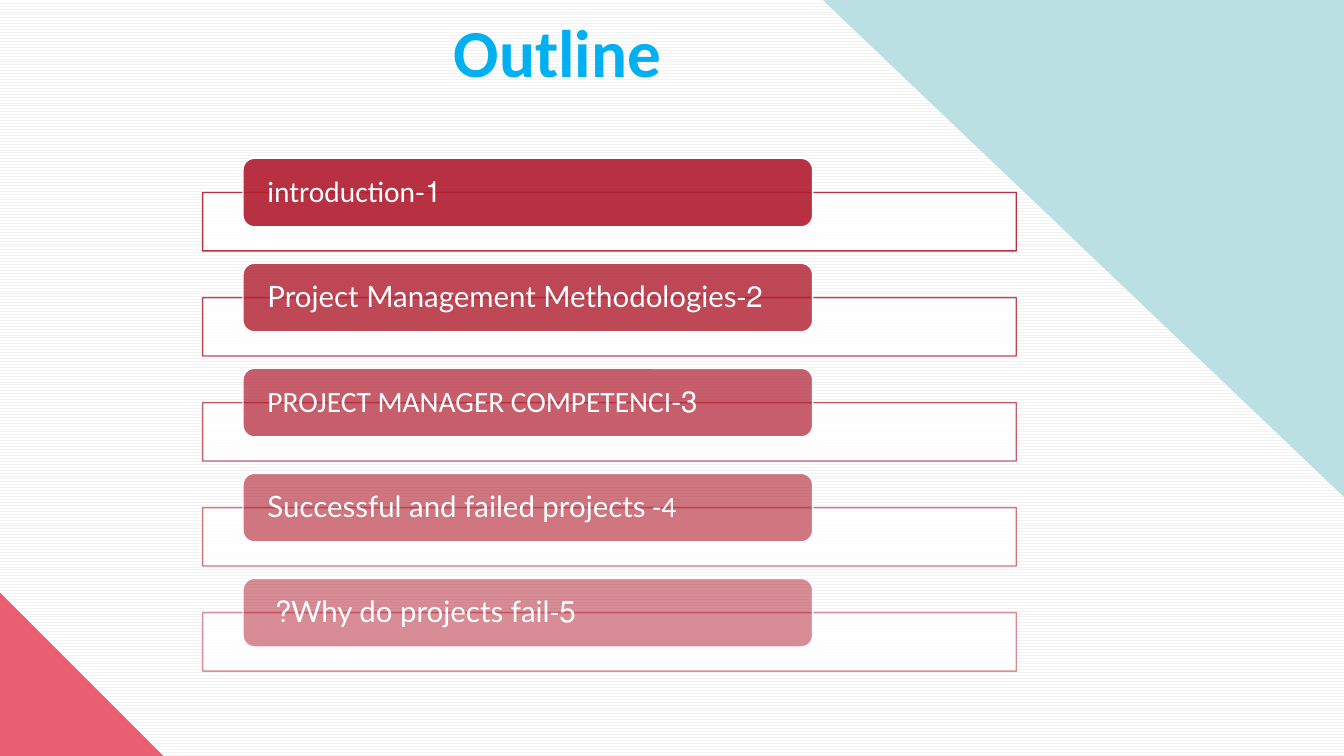
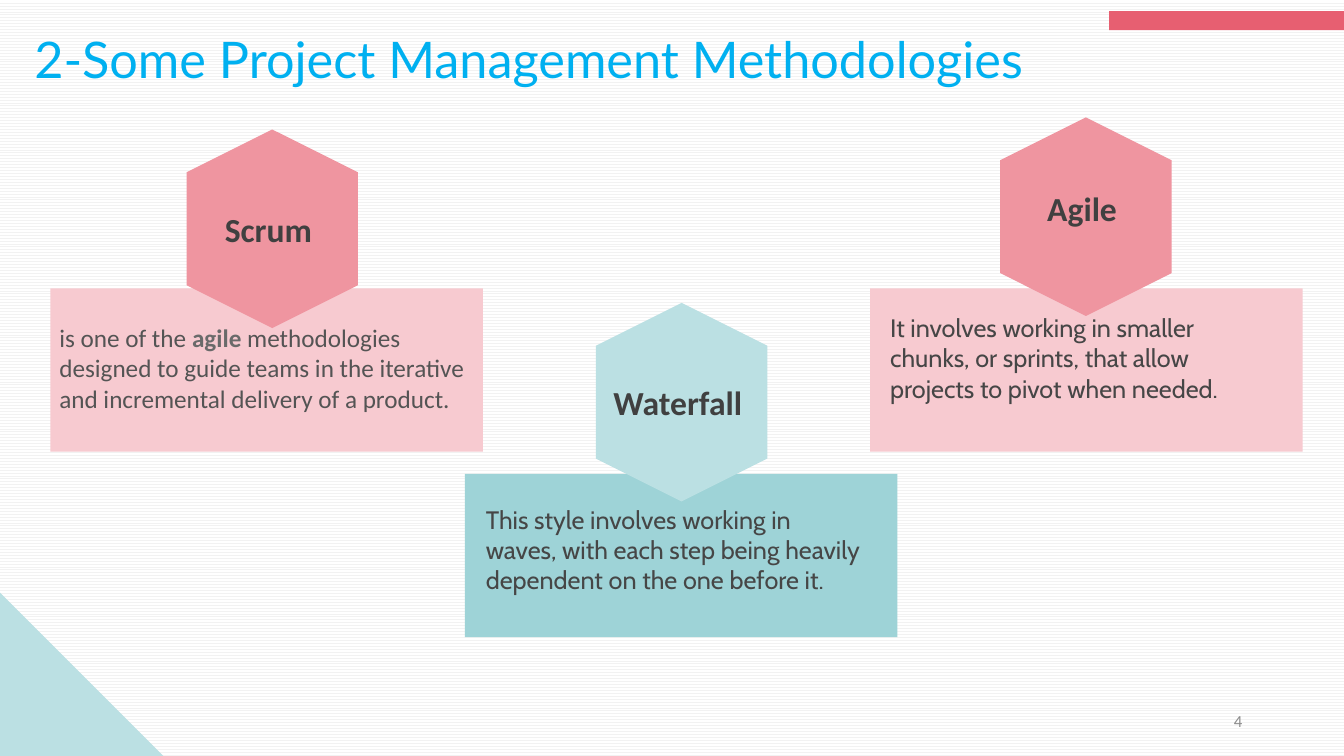
from dataclasses import dataclass

from lxml.etree import SubElement
from pptx import Presentation
from pptx.dml.color import RGBColor
from pptx.enum.dml import MSO_PATTERN
from pptx.enum.shapes import MSO_SHAPE as Shape
from pptx.enum.text import MSO_ANCHOR as Anchor, MSO_AUTO_SIZE as AutoSize, PP_ALIGN as Align
from pptx.oxml.ns import qn
from pptx.util import Inches, Pt


@dataclass(frozen=True)
class Theme:
    white: str = "FFFFFF"
    pattern: str = "F2F2F2"
    title: str = "00B0F0"
    crimson: str = "B01B2E"
    coral: str = "E75F71"
    rose: str = "EF95A0"
    blush: str = "F7CAD0"
    aqua: str = "BBE0E3"
    teal: str = "9ED3D7"
    label: str = "404040"
    body: str = "464646"
    soft: str = "545454"
    strong: str = "6A6A6A"
    number: str = "8C8C8C"
    sans: str = "Calibri"
    display: str = "Lato"
    humanist: str = "Cabin"
    heading_size: int = 48
    title_size: int = 36
    label_size: int = 24
    item_size: int = 21
    body_size: int = 18
    number_size: int = 12


THEME = Theme()
PLAIN = {"font": THEME.sans}
DISPLAY = {"font": THEME.display}

OUTLINE = [
    [("1-introduction", PLAIN)],
    [("2-Project Management Methodologies", DISPLAY)],
    [("3-PROJECT MANAGER COMPETENCI", PLAIN)],
    [("Successful and failed projects", DISPLAY), (" -4", PLAIN)],
    [("5-", PLAIN), ("Why do projects fail? ", DISPLAY)],
]

METHODS = [
    {
        "name": "Scrum ", "panel": (0.5, 2.86), "hexagon": (2.7, 2.27), "label_y": 2.27,
        "colors": (THEME.blush, THEME.rose), "text_box": (0.49, 3.15, 4.23, 1.31),
        "font": THEME.sans, "color": THEME.soft,
        "text": [
            ("is one of the ", {}),
            ("agile", {"color": THEME.strong, "bold": True}),
            (" methodologies designed to guide teams in the iterative "
             "and incremental delivery of a product.", {}),
        ],
    },
    {
        "name": "Waterfall ", "panel": (4.61, 4.7), "hexagon": (6.76, 3.99), "label_y": 3.99,
        "colors": (THEME.teal, THEME.aqua), "text_box": (4.72, 4.95, 3.91, 1.31),
        "font": THEME.humanist, "color": THEME.body,
        "text": "This style involves working in waves, with each step being heavily "
                "dependent on the one before it.",
    },
    {
        "name": "Agile ", "panel": (8.63, 2.86), "hexagon": (10.77, 2.15), "label_y": 2.06,
        "colors": (THEME.blush, THEME.rose), "text_box": (8.73, 3.05, 3.48, 1.31),
        "font": THEME.humanist, "color": THEME.body,
        "text": "It involves working in smaller chunks, or sprints, that allow projects "
                "to pivot when needed.",
    },
]


def rgb(color):
    return RGBColor.from_string(color)


def write(shape, text, *, size, color, font=THEME.sans, bold=False, align=Align.LEFT,
          anchor=Anchor.TOP, insets=(0.1, 0.05, 0.1, 0.05), spacing=None, rtl=False):
    frame = shape.text_frame
    frame.word_wrap = True
    frame.auto_size = AutoSize.NONE
    frame.vertical_anchor = anchor
    (frame.margin_left, frame.margin_top,
     frame.margin_right, frame.margin_bottom) = map(Inches, insets)
    paragraph = frame.paragraphs[0]
    paragraph.alignment = align
    if spacing:
        paragraph.line_spacing = spacing
    if rtl:
        paragraph._p.get_or_add_pPr().set("rtl", "1")
    for content, changes in [(text, {})] if isinstance(text, str) else text:
        style = {"font": font, "color": color, "bold": bold, **changes}
        run = paragraph.add_run()
        run.text = content
        run.font.name = style["font"]
        run.font.size = Pt(size)
        run.font.bold = style["bold"]
        run.font.color.rgb = rgb(style["color"])


def set_alpha(shape, query, percent):
    for color in shape.element.spPr.xpath(query):
        SubElement(color, qn("a:alpha")).set("val", str(percent * 1000))


def add_shape(slide, kind, box, fill, *, line=None, alpha=100, line_alpha=100, rotation=0):
    shape = slide.shapes.add_shape(kind, *map(Inches, box))
    shape.shadow.inherit = False
    shape.rotation = rotation
    shape.fill.solid()
    shape.fill.fore_color.rgb = rgb(fill)
    if line:
        shape.line.color.rgb = rgb(line)
        shape.line.width = Pt(1)
    else:
        shape.line.fill.background()
    if alpha < 100:
        set_alpha(shape, "a:solidFill/a:srgbClr", alpha)
    if line_alpha < 100:
        set_alpha(shape, "a:ln/a:solidFill/a:srgbClr", line_alpha)
    return shape


def add_text(slide, box, text, **style):
    write(slide.shapes.add_textbox(*map(Inches, box)), text, **style)


def add_slide(presentation, title, box, corner, **style):
    slide = presentation.slides.add_slide(presentation.slide_layouts[5])
    background = slide.background.fill
    background.patterned()
    background.pattern = MSO_PATTERN.ZIG_ZAG
    background.fore_color.rgb = rgb(THEME.pattern)
    background.back_color.rgb = rgb(THEME.white)
    placeholder = slide.shapes.title
    placeholder.left, placeholder.top, placeholder.width, placeholder.height = map(Inches, box)
    write(placeholder, title, color=THEME.title, **style)
    add_shape(slide, Shape.RIGHT_TRIANGLE, (0, 5.88, 1.62, 1.62), corner)
    return slide


def build_outline(presentation):
    slide = add_slide(presentation, "Outline", (4.4, 0.05, 6.65, 0.91), THEME.coral,
                      size=THEME.heading_size, bold=True, anchor=Anchor.MIDDLE)
    add_shape(slide, Shape.RIGHT_TRIANGLE, (8.16, 0, 5.18, 4.94), THEME.aqua, rotation=180)
    for index, item in enumerate(OUTLINE):
        top = 1.57 + 1.042 * index
        opacity = 90 - 10 * index
        add_shape(slide, Shape.RECTANGLE, (2.01, top + 0.34, 8.07, 0.58), THEME.white,
                  line=THEME.crimson, alpha=90, line_alpha=opacity)
        bar = add_shape(slide, Shape.ROUNDED_RECTANGLE, (2.41, top, 5.65, 0.68),
                        THEME.crimson, line=THEME.white, alpha=opacity)
        write(bar, item, size=THEME.item_size, color=THEME.white, anchor=Anchor.MIDDLE,
              insets=(0.21, 0, 0.21, 0), spacing=0.9, rtl=True)


def build_methods(presentation):
    slide = add_slide(presentation, "2-Some Project Management Methodologies",
                      (0.34, 0.28, 12.7, 0.61), THEME.aqua, size=THEME.title_size,
                      font=THEME.display, insets=(0, 0, 0, 0))
    add_shape(slide, Shape.RECTANGLE, (11, 0.11, 2.33, 0.19), THEME.coral)
    add_text(slide, (9.42, 6.95, 3, 0.4), "4", size=THEME.number_size, color=THEME.number,
             align=Align.RIGHT, anchor=Anchor.MIDDLE)
    length, width = 1.97, 1.7
    label_width, label_height = 1.51, 0.4
    for method in METHODS:
        panel_color, hexagon_color = method["colors"]
        center_x, center_y = method["hexagon"]
        add_shape(slide, Shape.RECTANGLE, (*method["panel"], 4.29, 1.62), panel_color)
        add_shape(slide, Shape.HEXAGON,
                  (center_x - length / 2, center_y - width / 2, length, width),
                  hexagon_color, rotation=90)
        add_text(slide, (center_x - label_width / 2, method["label_y"] - label_height / 2,
                         label_width, label_height),
                 method["name"], size=THEME.label_size, color=THEME.label, bold=True,
                 align=Align.CENTER, anchor=Anchor.MIDDLE, insets=(0, 0, 0, 0))
        add_text(slide, method["text_box"], method["text"], size=THEME.body_size,
                 color=method["color"], font=method["font"])


def main():
    presentation = Presentation()
    presentation.slide_width = Inches(13.33)
    presentation.slide_height = Inches(7.5)
    build_outline(presentation)
    build_methods(presentation)
    presentation.save("out.pptx")


if __name__ == "__main__":
    main()
